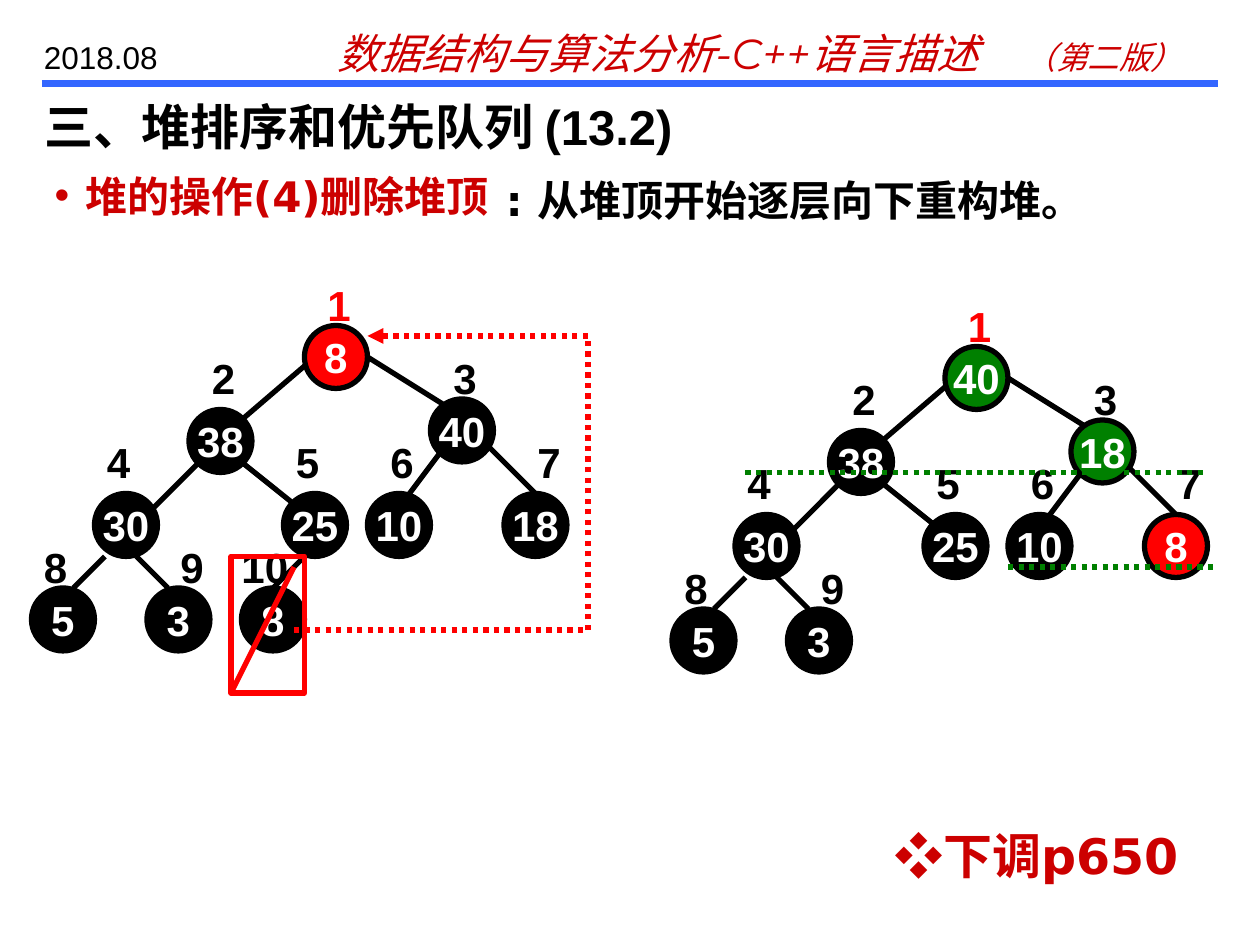
import dataclasses

import lxml.etree
import pptx
import pptx.dml.color
import pptx.enum.dml
import pptx.enum.shapes
import pptx.enum.text
import pptx.oxml.ns
import pptx.util

SCALE = 7620
ANCHOR = pptx.enum.text.MSO_ANCHOR
ALIGN = pptx.enum.text.PP_ALIGN
SHAPE = pptx.enum.shapes.MSO_SHAPE


@dataclasses.dataclass(frozen=True)
class Theme:
    """Colours, fonts and sizes of the slide."""
    black: str = "000000"
    white: str = "FFFFFF"
    blue: str = "3366FF"
    crimson: str = "CC0000"
    red: str = "FF0000"
    green: str = "008000"
    sans: str = "Arial"
    wide: str = "DejaVu Sans"
    display: str = "Montserrat"
    heading: int = 28
    text: int = 24
    small: int = 18
    stroke: int = 3
    rule: int = 4


THEME = Theme()
NODE_SIZE = 60
NODES = {1: (260, 50), 2: (150, 130), 3: (380, 120), 4: (60, 210), 5: (240, 210),
         6: (320, 210), 7: (450, 210), 8: (0, 300), 9: (110, 300), 10: (200, 300)}
LABEL_OFFSETS = {1: (10, -50), 2: (10, -60), 3: (10, -50), 4: (0, -60), 5: (0, -60),
                 6: (10, -60), 7: (20, -60), 8: (0, -50), 9: (20, -50), 10: (0, -50)}
EDGES = {2: (270, 80, 200, 140), 3: (320, 80, 400, 130), 4: (160, 180, 110, 230),
         5: (200, 180, 250, 220), 6: (390, 170, 360, 210), 7: (430, 160, 480, 210),
         8: (70, 270, 40, 300), 9: (100, 270, 130, 300), 10: (260, 270, 230, 300)}


def px(*lengths):
    """Turn px lengths into a list of EMU."""
    return [pptx.util.Emu(length * SCALE) for length in lengths]


def rgb(colour):
    """Return the colour object of a hex value."""
    return pptx.dml.color.RGBColor.from_string(colour)


def set_values(target, values):
    """Set each attribute named in values."""
    for name, value in values.items():
        setattr(target, name, value)


def add_xml(parent, tag, **attributes):
    """Append a drawing element."""
    return lxml.etree.SubElement(parent, pptx.oxml.ns.qn(tag), attributes)


def add_run(paragraph, text, size, colour, name=THEME.sans, **styles):
    """Add formatted text to a paragraph."""
    run = paragraph.add_run()
    run.text = text
    set_values(run.font, {"size": pptx.util.Pt(size), "name": name, **styles})
    run.font.color.rgb = rgb(colour)


def prepare_frame(shape, **values):
    """Set the frame of a shape and return its first paragraph."""
    set_values(shape.text_frame, {
        "auto_size": pptx.enum.text.MSO_AUTO_SIZE.NONE, "word_wrap": True,
        "vertical_anchor": ANCHOR.TOP, **values})
    return shape.text_frame.paragraphs[0]


def add_text(slide, box, **values):
    """Add a text box and return its paragraph."""
    return prepare_frame(slide.shapes.add_textbox(*px(*box)), **values)


def place(shape, box):
    """Move a placeholder into a box."""
    set_values(shape, dict(zip(("left", "top", "width", "height"), px(*box))))


def add_line(slide, points, colour, width=THEME.stroke, dotted=False, arrow=False):
    """Draw a straight line between two points."""
    line = slide.shapes.add_connector(pptx.enum.shapes.MSO_CONNECTOR.STRAIGHT, *px(*points))
    line.line.color.rgb = rgb(colour)
    line.line.width = pptx.util.Pt(width)
    properties = line._element.spPr
    if dotted:
        line.line.dash_style = pptx.enum.dml.MSO_LINE.ROUND_DOT
    if arrow:
        add_xml(properties.find(pptx.oxml.ns.qn("a:ln")), "a:tailEnd", type="triangle")
    add_xml(properties, "a:effectLst")


def add_outline(slide, kind, box, line_colour, fill=None):
    """Draw a preset shape with a line and an optional fill."""
    shape = slide.shapes.add_shape(kind, *px(*box))
    shape.shadow.inherit = False
    if fill:
        shape.fill.solid()
        shape.fill.fore_color.rgb = rgb(fill)
    else:
        shape.fill.background()
    shape.line.color.rgb = rgb(line_colour)
    shape.line.width = pptx.util.Pt(THEME.stroke)
    return shape


def add_header(slide, box):
    """Place the date, the book title and the rule."""
    left, top, width, height = box
    date = add_text(slide, (left - 10, top + 10, 170, 48))
    add_run(date, "2018.08", THEME.small, THEME.black)
    book = add_text(slide, (left + 270, top, 840, 60))
    tabs = add_xml(book._p.get_or_add_pPr(), "a:tabLst")
    add_xml(tabs, "a:tab", pos=str(654 * SCALE), algn="l")
    style = {"colour": THEME.crimson, "name": THEME.display, "italic": True}
    add_run(book, "数据结构与算法分析-C++语言描述\t", THEME.text, **style)
    add_run(book, "（第二版）", THEME.small, **style)
    add_line(slide, (left, top + height, left + width, top + height), THEME.blue, THEME.rule)


def add_headings(slide, box):
    """Fill the title and the bulleted line with its explanation."""
    left, top, width, _ = box
    title, body = slide.placeholders
    place(title, (left, top, width, 60))
    paragraph = prepare_frame(title, vertical_anchor=ANCHOR.MIDDLE)
    paragraph.alignment = ALIGN.LEFT
    add_run(paragraph, "三、堆排序和优先队列 (13.2)", THEME.heading, THEME.black, bold=True)

    place(body, (left + 10, top + 66, 1130, 60))
    paragraph = prepare_frame(body)
    paragraph.space_before = pptx.util.Pt(0)
    properties = paragraph._p.get_or_add_pPr()
    properties.set("marL", str(29 * SCALE))
    properties.set("indent", str(-29 * SCALE))
    add_xml(add_xml(properties, "a:buClr"), "a:srgbClr", val=THEME.crimson)
    add_xml(properties, "a:buChar", char="•")
    add_run(paragraph, "堆的操作(4)删除堆顶", THEME.text, THEME.crimson, THEME.wide, bold=True)

    paragraph = add_text(slide, (left + 440, top + 70, 740, 60))
    add_run(paragraph, ": 从堆顶开始逐层向下重构堆。", THEME.text, THEME.black, THEME.wide, bold=True)


def add_heap(slide, box, values, fills):
    """Draw a numbered binary heap in a box."""
    left, top = box[:2]
    keys = dict(enumerate(values, 1))
    for child in list(keys)[1:]:
        x1, y1, x2, y2 = EDGES[child]
        add_line(slide, (left + x1, top + y1, left + x2, top + y2), THEME.black)
    for index, key in keys.items():
        x, y = left + NODES[index][0], top + NODES[index][1]
        node = add_outline(slide, SHAPE.OVAL, (x, y, NODE_SIZE, NODE_SIZE), THEME.black,
                           fills.get(index, THEME.black))
        paragraph = prepare_frame(node, word_wrap=False, vertical_anchor=ANCHOR.MIDDLE)
        paragraph.alignment = ALIGN.CENTER
        add_run(paragraph, str(key), THEME.text, THEME.white, bold=True)
    for index in keys:
        x, y = (sum(parts) for parts in zip((left, top), NODES[index], LABEL_OFFSETS[index]))
        margins = {"margin_left": 0, "margin_right": 0} if index > 9 else {}
        label = add_text(slide, (x, y, NODE_SIZE, NODE_SIZE), **margins)
        add_run(label, str(index), THEME.text, THEME.red if index == 1 else THEME.black, bold=True)


def add_removal(slide, box):
    """Show the last node struck out and moved to the root."""
    left, top, width, height = box
    right, bottom, tip = left + 340, top + 70, left + 130
    start, level = left + 60, top - 210
    add_line(slide, (start, bottom, right, bottom), THEME.red, dotted=True)
    add_line(slide, (right, bottom, right, level), THEME.red, dotted=True)
    add_line(slide, (right, level, tip, level), THEME.red, dotted=True, arrow=True)
    add_outline(slide, SHAPE.RECTANGLE, box, THEME.red)
    add_line(slide, (start, top + 10, left, top + height), THEME.red)


def add_levels(slide, box):
    """Draw the dotted level lines of the sift."""
    left, top, width, height = box
    add_line(slide, (left, top, left + width - 10, top), THEME.green, dotted=True)
    add_line(slide, (left + 250, top + height, left + width, top + height), THEME.green, dotted=True)


def add_reference(slide, box):
    """Place the page reference."""
    paragraph = add_text(slide, box)
    for text, name in (("❖", THEME.sans), ("下调p650", THEME.wide)):
        add_run(paragraph, text, THEME.heading, THEME.crimson, name, bold=True)


def main():
    """Build and save the slide."""
    presentation = pptx.Presentation()
    presentation.slide_width, presentation.slide_height = px(1200, 900)
    slide = presentation.slides.add_slide(presentation.slide_layouts[1])
    add_header(slide, (40, 20, 1120, 60))
    add_headings(slide, (30, 90, 1170, 130))
    add_heap(slide, (30, 260, 510, 360), (8, 38, 40, 30, 25, 10, 18, 5, 3, 8), {1: THEME.red})
    add_removal(slide, (220, 530, 70, 130))
    add_heap(slide, (640, 280, 510, 360), (40, 38, 18, 30, 25, 10, 8, 5, 3),
             {1: THEME.green, 3: THEME.green, 7: THEME.red})
    add_levels(slide, (710, 450, 450, 90))
    add_reference(slide, (840, 780, 310, 68))
    presentation.save("out.pptx")


if __name__ == "__main__":
    main()
